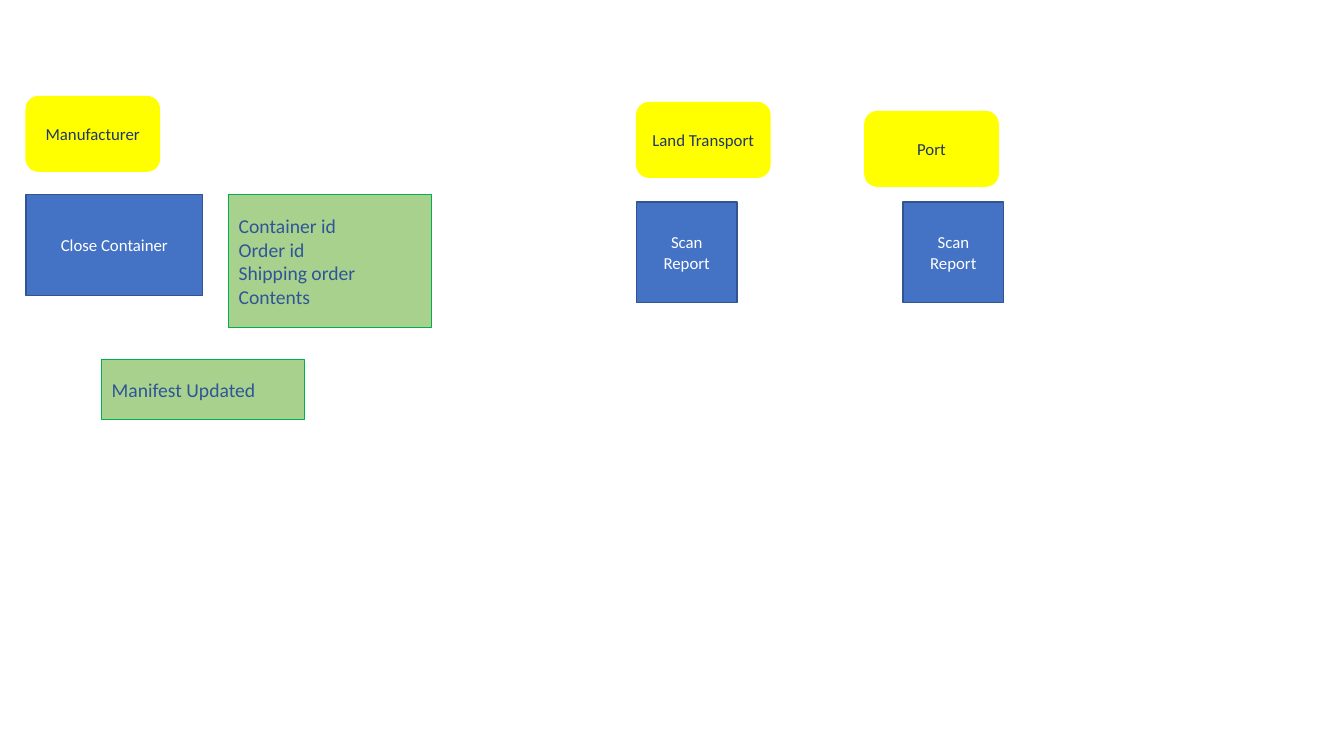
"""Build a slide of shipping parties, their actions and the data they record."""
import pptx
import pptx.util
import pptx.dml.color
import pptx.enum.shapes
import pptx.enum.text

Pt = pptx.util.Pt
RGB = pptx.dml.color.RGBColor.from_string
SHAPE = pptx.enum.shapes.MSO_SHAPE
ALIGN = pptx.enum.text.PP_ALIGN

COLORS = {
    "yellow": "FFFF00", "navy": "203864", "blue": "4472C4", "edge": "325491",
    "white": "FFFFFF", "green": "A9D18E", "rim": "00B050", "ink": "2F5597",
}
STYLES = {
    "party": (SHAPE.ROUNDED_RECTANGLE, "yellow", "yellow", "navy", 12, ALIGN.CENTER),
    "action": (SHAPE.RECTANGLE, "blue", "edge", "white", 12, ALIGN.CENTER),
    "data": (SHAPE.RECTANGLE, "green", "rim", "ink", 14, ALIGN.LEFT),
}
PARTY = (95.2, 53.3)
SCAN = (72, 72)
WIDE = 144.9
BOXES = [
    ("party", "Manufacturer", (18.7, 69), PARTY),
    ("action", "Close Container", (18.7, 139), (126, 72)),
    ("data", "Container id\nOrder id\nShipping order\nContents", (163.4, 139), (WIDE, 95)),
    ("data", "Manifest Updated", (72.7, 257), (WIDE, 42.5)),
    ("party", "Port", (617.8, 79.7), PARTY),
    ("party", "Land Transport", (454.8, 73.3), PARTY),
    ("action", "Scan Report", (645, 144.2), SCAN),
    ("action", "Scan Report", (454.6, 144.2), SCAN),
]


def add_box(slide, style, text, spot, size):
    """Add one styled box with its text."""
    kind, fill, line, ink, points, align = STYLES[style]
    box = slide.shapes.add_shape(kind, *map(Pt, spot + size))
    box.shadow.inherit = False
    box.fill.solid()
    box.fill.fore_color.rgb = RGB(COLORS[fill])
    box.line.color.rgb = RGB(COLORS[line])
    box.line.width = Pt(1)
    frame = box.text_frame
    frame.word_wrap = True
    frame.vertical_anchor = pptx.enum.text.MSO_ANCHOR.MIDDLE
    frame.text = text
    for para in frame.paragraphs:
        para.alignment = align
        for run in para.runs:
            run.font.name = "Calibri"
            run.font.size = Pt(points)
            run.font.color.rgb = RGB(COLORS[ink])


deck = pptx.Presentation()
deck.slide_width, deck.slide_height = Pt(960), Pt(540)
slide = deck.slides.add_slide(deck.slide_layouts[6])
for box in BOXES:
    add_box(slide, *box)
deck.save("out.pptx")
